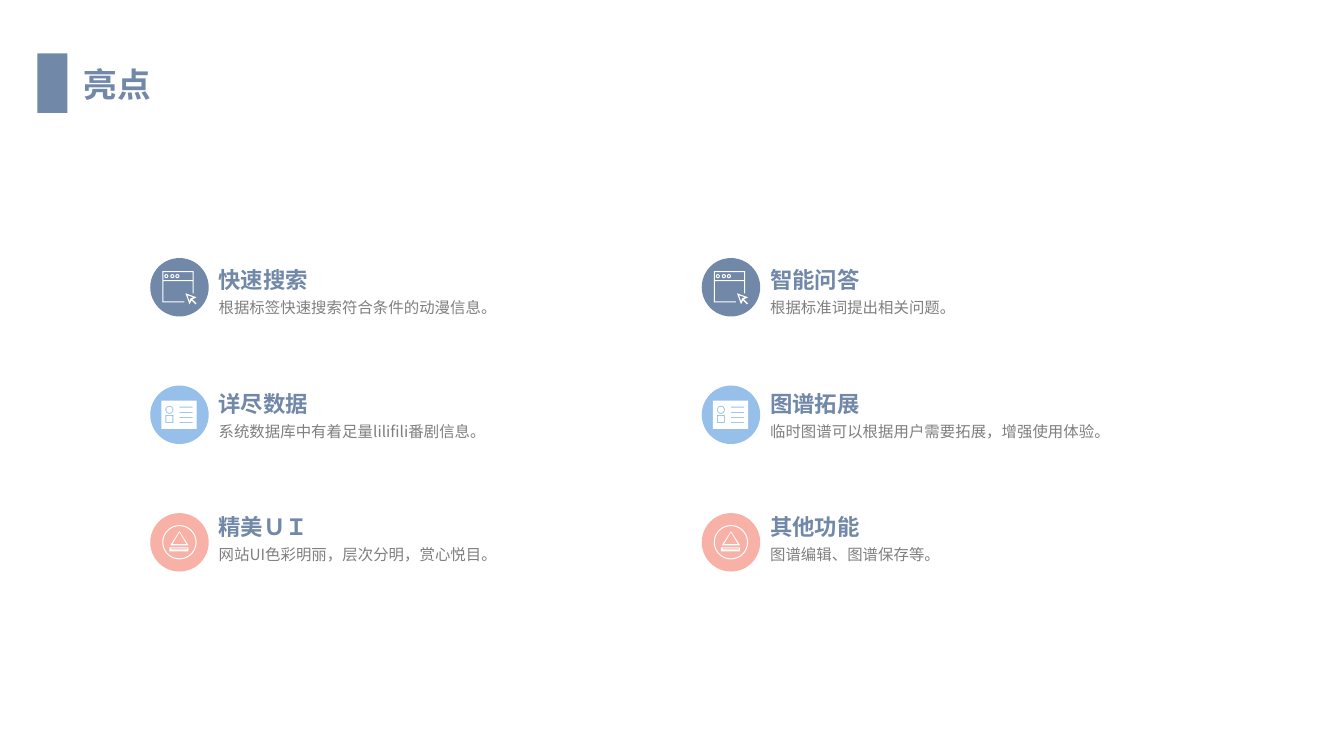
from dataclasses import dataclass
from math import cos, pi, sin

from lxml.etree import SubElement
from pptx import Presentation
from pptx.dml.color import RGBColor as RGB
from pptx.enum.shapes import MSO_SHAPE as SHAPE
from pptx.enum.text import MSO_ANCHOR as ANCHOR, MSO_AUTO_SIZE as AUTO_SIZE
from pptx.oxml.ns import qn
from pptx.util import Inches, Pt


@dataclass(frozen=True)
class Theme:
    font: str = "Noto Sans CJK SC"
    slate: RGB = RGB.from_string("7188A8")
    sky: RGB = RGB.from_string("96C0E9")
    coral: RGB = RGB.from_string("F7B1A6")
    grey: RGB = RGB.from_string("7F7F7F")
    white: RGB = RGB.from_string("FFFFFF")
    title: int = 24
    heading: int = 16
    body: int = 11


def box(left, top, right, bottom):
    return [(left, top), (right, top), (right, bottom), (left, bottom)]


def circle(x, y, radius, steps=36):
    angles = [2 * pi * step / steps for step in range(steps)]
    return [(x + radius * cos(a), y + radius * sin(a)) for a in angles]


def spaced(first, last, count):
    return [first + (last - first) * i / (count - 1) for i in range(count)]


BROWSER = [
    [(-0.17, -0.16), (0.14, -0.16), (0.14, 0.06), (0.13, 0.06), (0.13, -0.06),
     (-0.16, -0.06), (-0.16, 0.14), (0.05, 0.14), (0.05, 0.15), (-0.17, 0.15)],
    box(-0.16, -0.15, 0.13, -0.07),
    [(0.06, 0.06), (0.17, 0.1), (0.13, 0.12), (0.17, 0.16),
     (0.16, 0.17), (0.12, 0.13), (0.1, 0.17)],
    [(0.08, 0.08), (0.1, 0.14), (0.11, 0.11), (0.14, 0.1)],
    *[circle(x, -0.11, r) for x in (-0.13, -0.07, -0.02) for r in (0.02, 0.01)],
]
RECORD = [
    box(-0.18, -0.14, 0.17, 0.14),
    *[box(0, y, 0.13, y + 0.01) for y in spaced(-0.08, 0.07, 4)],
    circle(-0.1, -0.05, 0.04),
    circle(-0.1, -0.05, 0.03),
    box(-0.14, 0, -0.06, 0.08),
    box(-0.13, 0.01, -0.07, 0.07),
]
EJECT = [
    circle(0, 0, 0.17),
    circle(0, 0, 0.16),
    [(0, -0.11), (0.09, 0.03), (-0.09, 0.03)],
    [(0, -0.1), (0.07, 0.02), (-0.07, 0.02)],
    box(-0.1, 0.05, 0.09, 0.09),
    box(-0.08, 0.06, 0.08, 0.07),
]


class SlideBuilder:
    def __init__(self, slide, theme):
        self.slide = slide
        self.theme = theme

    def paint(self, shape, color):
        shape.shadow.inherit = False
        shape.fill.solid()
        shape.fill.fore_color.rgb = color
        shape.line.fill.background()

    def block(self, kind, left, top, width, height, color):
        bounds = map(Inches, (left, top, width, height))
        self.paint(self.slide.shapes.add_shape(kind, *bounds), color)

    def icon(self, center_x, center_y, contours):
        outlines = [
            [(Inches(center_x + x), Inches(center_y + y)) for x, y in contour]
            for contour in contours
        ]
        builder = self.slide.shapes.build_freeform(*outlines[0][0])
        for outline in outlines:
            builder.move_to(*outline[0])
            builder.add_line_segments(outline[1:], close=True)
        self.paint(builder.convert_to_shape(), self.theme.white)

    def text(self, wording, left, top, width, height, size, color,
             bold=False, wrap=False, spacing=1.0):
        bounds = map(Inches, (left, top, width, height))
        frame = self.slide.shapes.add_textbox(*bounds).text_frame
        frame.text = wording
        frame.word_wrap = wrap
        frame.auto_size = AUTO_SIZE.SHAPE_TO_FIT_TEXT
        frame.vertical_anchor = ANCHOR.MIDDLE
        paragraph = frame.paragraphs[0]
        paragraph.line_spacing = spacing
        run = paragraph.runs[0]
        run.font.size = Pt(size)
        run.font.bold = bold
        run.font.color.rgb = color
        run.font.name = self.theme.font
        east_asian = SubElement(run.font._element, qn("a:ea"))
        east_asian.set("typeface", self.theme.font)

    def highlight(self, left, badge_top, text_top, badge, heading, detail):
        theme = self.theme
        color, contours = badge
        self.block(SHAPE.OVAL, left, badge_top, 0.58, 0.58, color)
        self.icon(left + 0.29, badge_top + 0.29, contours)
        self.text(heading, left + 0.58, text_top, 1.1, 0.37,
                  theme.heading, theme.slate, bold=True)
        self.text(detail, left + 0.58, text_top + 0.24, 4.43, 0.35,
                  theme.body, theme.grey, wrap=True, spacing=1.5)


def main():
    presentation = Presentation()
    presentation.slide_width = Inches(13.33)
    presentation.slide_height = Inches(7.5)
    theme = Theme()
    page = SlideBuilder(
        presentation.slides.add_slide(presentation.slide_layouts[6]), theme)

    page.text("亮点", 0.73, 0.58, 0.88, 0.5, theme.title, theme.slate, bold=True)
    page.block(SHAPE.RECTANGLE, 0.37, 0.53, 0.3, 0.59, theme.slate)

    badges = [(theme.slate, BROWSER), (theme.sky, RECORD), (theme.coral, EJECT)]
    columns = {
        1.49: [
            ("快速搜索", "根据标签快速搜索符合条件的动漫信息。"),
            ("详尽数据", "系统数据库中有着足量lilifili番剧信息。"),
            ("精美ＵＩ", "网站UI色彩明丽，层次分明，赏心悦目。"),
        ],
        6.96: [
            ("智能问答", "根据标准词提出相关问题。"),
            ("图谱拓展", "临时图谱可以根据用户需要拓展，增强使用体验。"),
            ("其他功能", "图谱编辑、图谱保存等。"),
        ],
    }
    badge_tops = spaced(2.56, 5.09, len(badges))
    text_tops = spaced(2.59, 5.04, len(badges))
    for left, highlights in columns.items():
        for badge_top, text_top, badge, (heading, detail) in zip(
                badge_tops, text_tops, badges, highlights):
            page.highlight(left, badge_top, text_top, badge, heading, detail)

    presentation.save("out.pptx")


if __name__ == "__main__":
    main()
